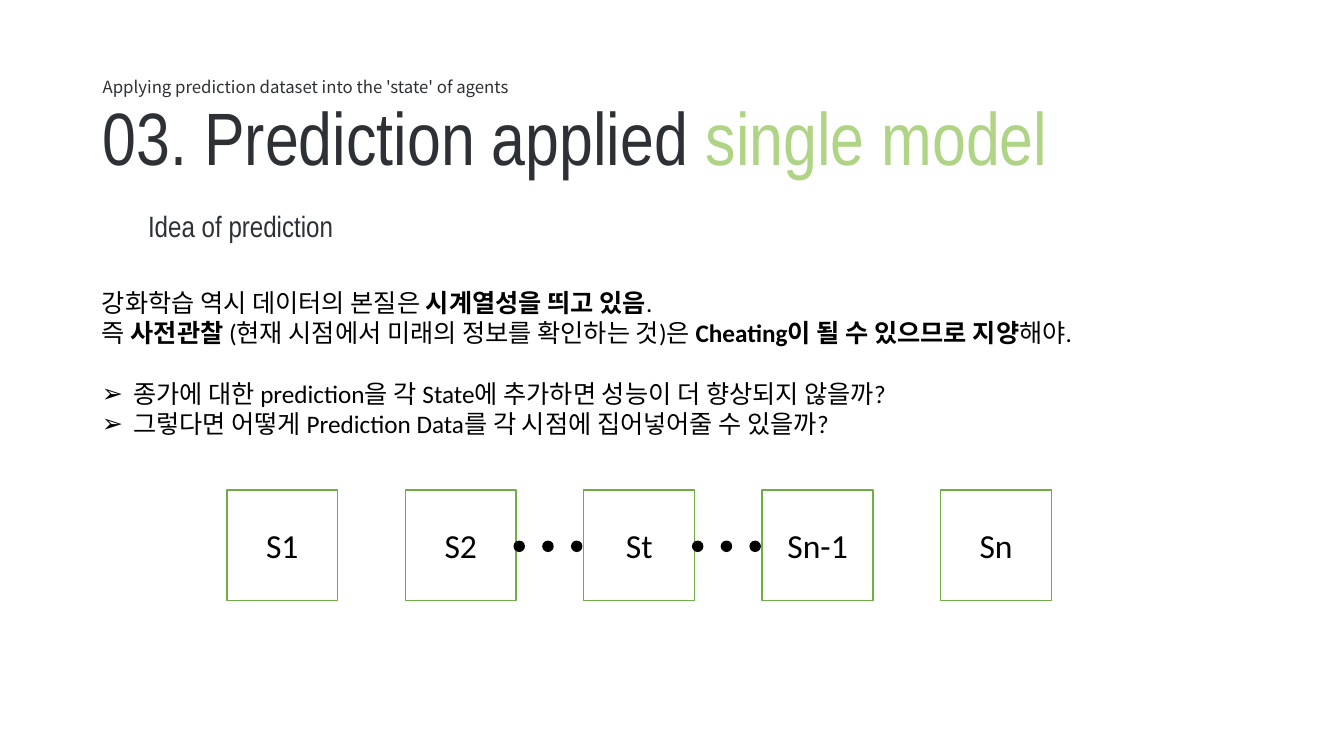
from dataclasses import dataclass

from lxml.etree import SubElement
from pptx import Presentation
from pptx.dml.color import RGBColor
from pptx.enum.shapes import MSO_SHAPE as Shape
from pptx.enum.text import MSO_ANCHOR as Anchor, MSO_AUTO_SIZE as AutoSize, PP_ALIGN as Align
from pptx.oxml.ns import qn
from pptx.util import Inches, Pt


@dataclass(frozen=True)
class Theme:
    ink: str = "2D3136"
    accent: str = "AFD485"
    outline: str = "70AD47"
    black: str = "000000"
    white: str = "FFFFFF"
    heading_font: str = "Arial Narrow"
    caption_font: str = "Noto Sans CJK KR"
    body_font: str = "Calibri"
    title_size: int = 53
    state_size: int = 24
    subtitle_size: int = 21
    body_size: int = 18
    caption_size: int = 12


theme = Theme()


def add_span(para, text, *, font=theme.body_font, size=theme.body_size,
             color=theme.black, bold=False):
    span = para.add_run()
    span.text = text
    span.font.name = font
    span.font.size = Pt(size)
    span.font.bold = bold
    span.font.color.rgb = RGBColor.from_string(color)


def place(box, left, top, width, height):
    """Position a text box or placeholder and give it a plain top-left frame."""
    box.left, box.top, box.width, box.height = map(Inches, (left, top, width, height))
    frame = box.text_frame
    frame.word_wrap = True
    frame.auto_size = AutoSize.NONE
    frame.vertical_anchor = Anchor.TOP
    frame.paragraphs[0].alignment = Align.LEFT
    return frame


deck = Presentation()
deck.slide_width, deck.slide_height = Inches(13.33), Inches(7.5)
page = deck.slides.add_slide(deck.slide_layouts[1])
title, body = page.placeholders

# Headings
para = place(title, 0.92, 0.86, 12.2, 1).paragraphs[0]
for text, color in (("03. Prediction applied ", theme.ink), ("single model", theme.accent)):
    add_span(para, text, font=theme.heading_font, size=theme.title_size, color=color)

headings = (
    ("Applying prediction dataset into the 'state' of agents",
     (0.92, 0.71, 4.94, 0.5), theme.caption_font, theme.caption_size),
    ("Idea of prediction",
     (1.37, 2.02, 5.91, 0.46), theme.heading_font, theme.subtitle_size),
)
for text, spot, font, size in headings:
    box = page.shapes.add_textbox(0, 0, 0, 0)
    add_span(place(box, *spot).paragraphs[0], text, font=font, size=size, color=theme.ink)

# Body: each line is (bullet, space before, [(text, bold), ...])
body_lines = (
    (None, 0, [("강화학습 역시 데이터의 본질은 ", False), ("시계열성을 띄고 있음", True), (".", False)]),
    (None, 0, [("즉 ", False), ("사전관찰", True),
               (" (현재 시점에서 미래의 정보를 확인하는 것)은 ", False),
               ("Cheating이 될 수 있으므로 지양", True), ("해야.", False)]),
    ("➢", 22, [("종가에 대한 prediction을 각 State에 추가하면 성능이 더 향상되지 않을까?", False)]),
    ("➢", 0, [("그렇다면 어떻게 Prediction Data를 각 시점에 집어넣어줄 수 있을까?", False)]),
)
frame = place(body, 0.91, 2.8, 10.62, 1.62)
for number, (bullet, space, spans) in enumerate(body_lines):
    para = frame.add_paragraph() if number else frame.paragraphs[0]
    props = para._p.get_or_add_pPr()
    indent = Inches(0.31) if bullet else 0
    props.set("marL", str(indent))
    props.set("indent", str(-indent))
    if bullet:
        SubElement(props, qn("a:buChar")).set("char", bullet)
    else:
        SubElement(props, qn("a:buNone"))
    para.space_before = Pt(space)
    for text, bold in spans:
        add_span(para, text, bold=bold)

# Chain of states, with dots in the gaps after S2 and St
states = ("S1", "S2", "St", "Sn-1", "Sn")
chain_left, chain_top, state_side, state_step = 2.25, 4.86, 1.1, 1.77
dot_side, dot_step, dot_offset, dot_top = 0.1, 0.285, 1.08, 5.37

marks = []
for number, state in enumerate(states):
    left = chain_left + number * state_step
    marks.append((Shape.RECTANGLE, left, chain_top, state_side, theme.white, theme.outline, state))
for number in (states.index("S2"), states.index("St")):
    for dot in range(3):
        left = chain_left + number * state_step + dot_offset + dot * dot_step
        marks.append((Shape.OVAL, left, dot_top, dot_side, theme.black, theme.black, None))

for kind, left, top, side, fill, line, text in marks:
    mark = page.shapes.add_shape(kind, Inches(left), Inches(top), Inches(side), Inches(side))
    mark.shadow.inherit = False
    mark.fill.solid()
    mark.fill.fore_color.rgb = RGBColor.from_string(fill)
    mark.line.color.rgb = RGBColor.from_string(line)
    mark.line.width = Pt(1)
    if text:
        mark.text_frame.vertical_anchor = Anchor.MIDDLE
        para = mark.text_frame.paragraphs[0]
        para.alignment = Align.CENTER
        add_span(para, text, size=theme.state_size)

deck.save("out.pptx")
